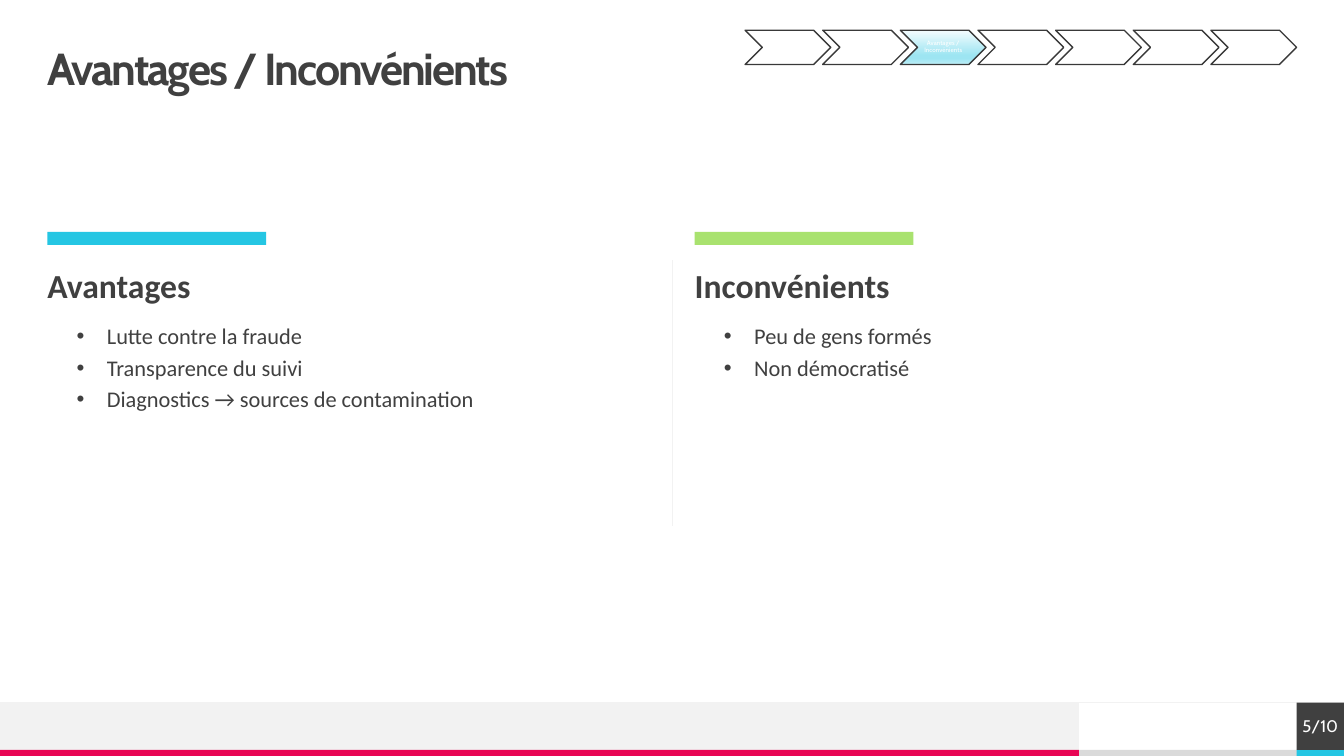
from lxml import etree
from pptx import Presentation
from pptx import util as u
from pptx.dml.color import RGBColor
from pptx.enum import shapes, text
from pptx.oxml import ns

WHITE = RGBColor(0xFF, 0xFF, 0xFF)
DARK = RGBColor(0x40, 0x40, 0x40)
OUTLINE = RGBColor(0x39, 0x39, 0x39)
PALE = RGBColor(0xF2, 0xF2, 0xF2)
GREY = RGBColor(0xDA, 0xDA, 0xDA)
PINK = RGBColor(0xE8, 0x05, 0x54)
CYAN = RGBColor(0x25, 0xC6, 0xE3)
GREEN = RGBColor(0xA9, 0xE2, 0x6F)
ACTIVE_STOPS = [(0, "F4FCFE"), (74, "9DE5F2"), (83, "9DE5F2"), (100, "BEEEF7")]

deck = Presentation()
deck.slide_width, deck.slide_height = u.Inches(13.33), u.Inches(7.5)
page = deck.slides.add_slide(deck.slide_layouts[6])


def add_block(left, top, width, height, fill, kind=shapes.MSO_SHAPE.RECTANGLE):
    block = page.shapes.add_shape(kind, *map(u.Inches, (left, top, width, height)))
    block.shadow.inherit = False
    block.fill.solid()
    block.fill.fore_color.rgb = fill
    block.line.fill.background()
    return block


def write(box, lines, size, font, color, bold=False, anchor=text.MSO_ANCHOR.TOP):
    frame = box.text_frame
    frame.word_wrap = True
    frame.vertical_anchor = anchor
    frame.margin_left = frame.margin_right = frame.margin_top = frame.margin_bottom = 0
    frame.text = "\n".join(lines)
    for para in frame.paragraphs:
        para.font.size, para.font.name, para.font.bold = u.Pt(size), font, bold
        para.font.color.rgb = color
    return frame.paragraphs


# Footer bands
for left, top, width, height, fill in [
    (10.7, 7.44, 2.17, 0.06, GREY),
    (0, 6.97, 10.7, 0.47, PALE),
    (0, 7.44, 10.7, 0.06, PINK),
    (12.86, 7.44, 0.47, 0.06, CYAN),
]:
    add_block(left, top, width, height, fill)

# Footer rule and column divider
for ends in [(13.33, 6.97, 0, 6.97), (6.67, 2.58, 6.67, 5.22)]:
    rule = page.shapes.add_connector(shapes.MSO_CONNECTOR.STRAIGHT, *map(u.Inches, ends))
    rule.line.color.rgb = PALE
    rule.line.width = u.Pt(0.5)
    etree.SubElement(rule._element.spPr, ns.qn("a:effectLst"))

# Title
box = page.shapes.add_textbox(*map(u.Inches, (0.47, 0.47, 12.4, 0.47)))
para = write(box, ["Avantages / Inconvénients"], 32, "Cabin", DARK, True, text.MSO_ANCHOR.MIDDLE)[0]
para.line_spacing = 0.9
para.runs[0].font._element.set("spc", "-150")

# Two columns: accent bar, heading, bullets
for left, accent, heading, points in [
    (0.47, CYAN, "Avantages",
     ["Lutte contre la fraude", "Transparence du suivi", "Diagnostics → sources de contamination"]),
    (6.89, GREEN, "Inconvénients", ["Peu de gens formés", "Non démocratisé"]),
]:
    add_block(left, 2.3, 2.17, 0.13, accent)
    box = page.shapes.add_textbox(*map(u.Inches, (left, 2.67, 5.98, 0.39)))
    para = write(box, [heading], 24, "Calibri", DARK, True)[0]
    para.line_spacing, para.space_before = 0.9, u.Pt(10)
    box = page.shapes.add_textbox(*map(u.Inches, (left, 3.23, 5.98, 2.4)))
    for para in write(box, points, 16, "Calibri", DARK):
        para.line_spacing, para.space_before = 0.9, u.Pt(5)
        props = para._p.get_or_add_pPr()
        props.set("marL", str(u.Inches(0.59)))
        props.set("indent", str(u.Inches(-0.3)))
        bullet_font = etree.Element(ns.qn("a:buFont"), typeface="Arial")
        bullet = etree.Element(ns.qn("a:buChar"), char="•")
        position = props.index(props.find(ns.qn("a:defRPr")))
        props[position:position] = [bullet_font, bullet]

# Page number
box = add_block(12.86, 6.97, 0.47, 0.47, DARK)
para = write(box, ["5/10"], 12, "Cabin", WHITE, anchor=text.MSO_ANCHOR.MIDDLE)[0]
para.alignment = text.PP_ALIGN.CENTER

# Progress chevrons, the third one active
for step in range(7):
    chevron = add_block(7.39 + 0.77 * step, 0.3, 0.85, 0.34, WHITE, shapes.MSO_SHAPE.CHEVRON)
    chevron.line.color.rgb = OUTLINE
    chevron.line.width = u.Pt(1)
    if step == 2:
        chevron.fill.gradient()
        chevron.fill.gradient_angle = 270
        stops = chevron._element.spPr.find(".//" + ns.qn("a:gsLst"))
        for stop in list(stops):
            stops.remove(stop)
        for percent, color in ACTIVE_STOPS:
            stop = etree.SubElement(stops, ns.qn("a:gs"), pos=str(percent * 1000))
            etree.SubElement(stop, ns.qn("a:srgbClr"), val=color)
        label = write(chevron, ["Avantages /", "Inconvénients"], 4.5, "Cabin", WHITE,
                      anchor=text.MSO_ANCHOR.MIDDLE)
        for para in label:
            para.alignment = text.PP_ALIGN.CENTER
            para.line_spacing = 0.9

deck.save("out.pptx")
